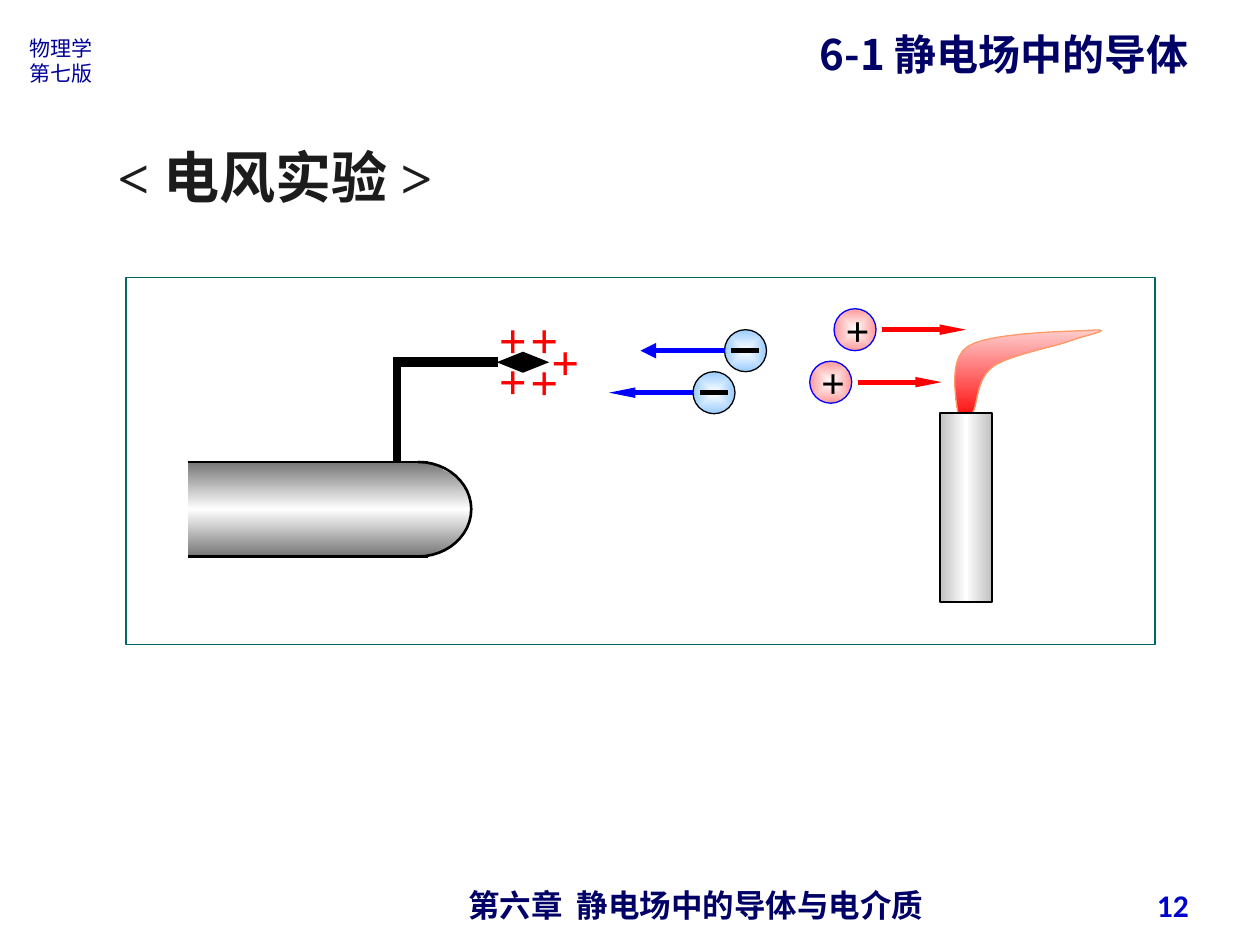
from lxml import etree
from pptx import Presentation
from pptx import util as u
from pptx.dml.color import RGBColor
from pptx.enum import shapes as kinds, text
from pptx.oxml import parse_xml
from pptx.oxml.ns import nsdecls, qn

HAN = "Noto Sans CJK SC"
TIMES = "Times New Roman"
LEFT, MID, RIGHT = text.PP_ALIGN.LEFT, text.PP_ALIGN.CENTER, text.PP_ALIGN.RIGHT


def color(code):
    """Turn a hex string into a colour."""
    return RGBColor.from_string(code)


def pts(*nums):
    """Turn numbers into point lengths."""
    return [u.Pt(n) for n in nums]


def write(box, words, size, code, face=TIMES, bold=True, align=LEFT, wrap=True):
    """Fill a text holder with evenly styled paragraphs."""
    frame = box.text_frame
    frame.text = words
    frame.word_wrap = wrap
    frame.auto_size = text.MSO_AUTO_SIZE.NONE
    frame.vertical_anchor = text.MSO_ANCHOR.TOP
    for para in frame.paragraphs:
        para.alignment = align
        font = para.font
        font.size, font.bold, font.name = u.Pt(size), bold, face
        font.color.rgb = color(code)
        latin = para._p.pPr.find(qn("a:defRPr")).find(qn("a:latin"))
        latin.addnext(parse_xml(f'<a:ea {nsdecls("a")} typeface="{HAN}"/>'))
    return frame


def label(slide, area, words, size, code, **style):
    """Add a text box."""
    return write(slide.shapes.add_textbox(*pts(*area)), words, size, code, **style)


def blend(shape, stops, angle=None):
    """Give a shape a linear blend, or a central one without an angle."""
    shape.fill.solid()
    marks = "".join(f'<a:gs pos="{pos * 1000}"><a:srgbClr val="{code}"/></a:gs>'
                    for pos, code in stops)
    if angle is None:
        way = ('<a:path path="rect"><a:fillToRect l="50000" t="50000" '
               'r="50000" b="50000"/></a:path>')
    else:
        way = f'<a:lin ang="{angle * 60000}" scaled="0"/>'
    grad = parse_xml(f'<a:gradFill {nsdecls("a")} rotWithShape="1">'
                     f'<a:gsLst>{marks}</a:gsLst>{way}</a:gradFill>')
    props = shape._element.spPr
    props.replace(props.find(qn("a:solidFill")), grad)


def edge(shape, code=None, width=0.75):
    """Set the outline of a shape and drop its shadow."""
    shape.shadow.inherit = False
    if code is None:
        shape.line.fill.background()
    else:
        shape.line.color.rgb = color(code)
        shape.line.width = u.Pt(width)


def form(slide, kind, area, code, width=0.75):
    """Add an outlined preset shape."""
    shape = slide.shapes.add_shape(kind, *pts(*area))
    edge(shape, code, width)
    return shape


def stroke(slide, start, end, code, width, head=None, wide="sm", long="lg"):
    """Add a line with an optional arrowhead."""
    line = slide.shapes.add_connector(kinds.MSO_CONNECTOR.STRAIGHT,
                                      *pts(*start, *end))
    line.line.color.rgb = color(code)
    line.line.width = u.Pt(width)
    if head:
        etree.SubElement(line.line._get_or_add_ln(), qn("a:tailEnd"),
                         type=head, w=wide, len=long)
    etree.SubElement(line._element.spPr, qn("a:effectLst"))


def bend(start, curves, steps=12):
    """List points along a chain of cubic curves."""
    path = [start]
    for b, c, d in curves:
        a = path[-1]
        for i in range(1, steps + 1):
            t = i / steps
            s = 1 - t
            path.append(tuple(s**3 * p + 3 * s * s * t * q + 3 * s * t * t * r + t**3 * v
                              for p, q, r, v in zip(a, b, c, d)))
    return path


def outline(slide, path, close=True):
    """Add a freeform through the points."""
    spots = [pts(*spot) for spot in path]
    pen = slide.shapes.build_freeform(*spots[0])
    pen.add_line_segments(spots[1:], close=close)
    return pen.convert_to_shape()


def rod(slide):
    """Draw the charged conductor with its needle."""
    top, low, left = 264, 318, 107.3
    body = outline(slide, [(left, top), (246.2, top), (254.2, 269.3), (261.4, 272.9),
                           (266.4, 280), (269.3, 293), (265, 303.8), (257, 313.2),
                           (252, 316), (244, low), (left, low)])
    blend(body, [(0, "767676"), (50, "FFFFFF"), (100, "767676")], 90)
    edge(body)
    for y in (top, low):
        stroke(slide, (left, y), (244.8, y), "000000", 1.5)
    arc = bend((239, top), [((255.6, top), (269.3, 276), (269.3, 291)),
                            ((269.3, 306), (255.6, low), (239, low))])
    cap = outline(slide, arc, close=False)
    cap.fill.background()
    edge(cap, "000000", 1.5)
    stroke(slide, (226.8, top), (226.8, 204), "000000", 4.5)
    stroke(slide, (226.8, 207), (298.8, 207), "000000", 6, "diamond")
    for x, y in ((278, 173.5), (296, 173.5), (296, 197.3), (278, 196.6), (308, 185.8)):
        label(slide, (x, y, 36, 41), "+", 28, "FF0000")


def candle(slide):
    """Draw the candle and its blown flame."""
    path = bend((547.9, 241.2), [
        ((547.9, 234), (540, 206.6), (553, 198)),
        ((566, 189.4), (617, 189.4), (626.4, 188.6)),
        ((635.8, 188.6), (620.6, 191.5), (610.6, 195.1)),
        ((600.5, 198.7), (576.7, 203), (567.4, 209.5)),
        ((558.7, 216), (558.7, 228.2), (556.6, 234)),
        ((554.4, 239), (555.1, 239.8), (553.7, 241.2)),
        ((552.2, 242.6), (548.6, 241.2), (547.9, 241.2))])
    flame = outline(slide, path)
    blend(flame, [(0, "FFCCCC"), (100, "FF0000")], 90)
    edge(flame, "FF9966")
    stick = form(slide, kinds.MSO_SHAPE.RECTANGLE, (537, 236.2, 30, 108), "000000", 1)
    blend(stick, [(0, "C0C0C0"), (50, "FFFFFF"), (100, "C0C0C0")], 0)


def ball(slide, x, y, tint, rim):
    """Draw one round charge."""
    shape = form(slide, kinds.MSO_SHAPE.OVAL, (x, y, 24, 24), rim)
    blend(shape, [(0, "FFFFFF"), (100, tint)])


def minus(slide, x, y, wide, long):
    """Draw a negative charge moving left."""
    ball(slide, x, y, "99CCFF", "000000")
    mid = y + 12
    stroke(slide, (x + 4, mid), (x + 20, mid), "000000", 3)
    stroke(slide, (x, mid), (x - 48, mid), "0000FF", 3, "triangle", wide, long)


def plus(slide, x, y):
    """Draw a positive charge moving right."""
    ball(slide, x, y, "FF9999", "0000FF")
    label(slide, (x - 0.5, y - 6, 28, 36), "+", 24, "000000", wrap=False)
    stroke(slide, (x + 27.4, y + 12), (x + 75.4, y + 12), "FF0000", 3, "triangle")


def heads(slide):
    """Write the title and the running labels."""
    title = slide.shapes.title
    title.left, title.top, title.width, title.height = pts(60, 78, 240, 46)
    write(title, "< 电风实验 >", 32, "1C1C1C")
    label(slide, (247, 502.5, 301, 21), "第六章  静电场中的导体与电介质", 18, "000066",
          face="Arial", align=MID)
    head = label(slide, (461.5, 7.2, 243.5, 76), "6-1 静电场中的导体", 24, "000066",
                 face=HAN)
    head.paragraphs[0].line_spacing = 1.2
    label(slide, (10, 16.5, 52, 36), "物理学\n第七版", 12, "000099", face=HAN, bold=False)
    page = label(slide, (518.4, 502.5, 168, 29), "12", 18, "0000CC",
                 face="Calibri", align=RIGHT)
    page.vertical_anchor = text.MSO_ANCHOR.MIDDLE


def main():
    """Build and save the slide."""
    deck = Presentation()
    deck.slide_width, deck.slide_height = pts(720, 540)
    slide = deck.slides.add_slide(deck.slide_layouts[5])
    heads(slide)
    frame = form(slide, kinds.MSO_SHAPE.RECTANGLE, (72, 158.4, 588, 210), "006666")
    frame.fill.solid()
    frame.fill.fore_color.rgb = color("FFFFFF")
    rod(slide)
    candle(slide)
    minus(slide, 414, 188.4, "med", "med")
    minus(slide, 396, 212.4, "sm", "lg")
    plus(slide, 476.6, 176.4)
    plus(slide, 462.7, 206.4)
    deck.save("out.pptx")


if __name__ == "__main__":
    main()
